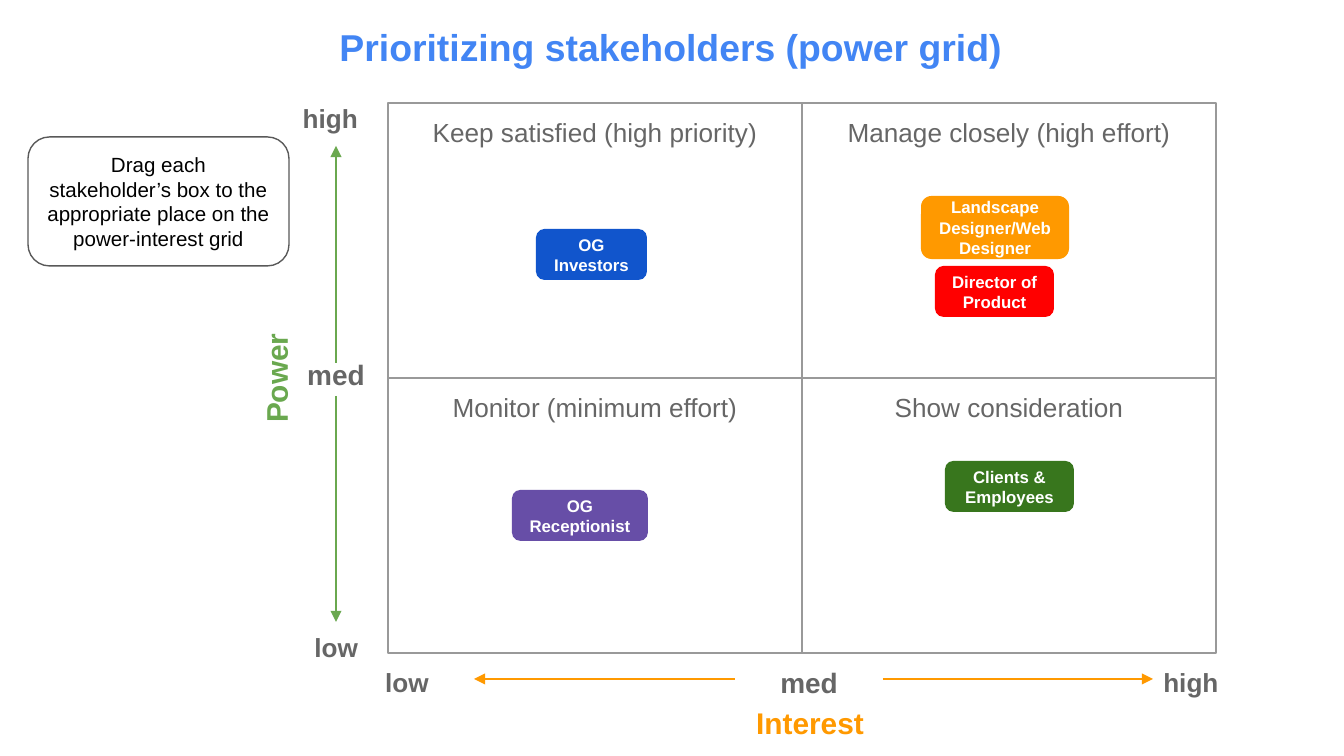
from dataclasses import dataclass

from lxml import etree
from pptx import Presentation
from pptx.dml.color import RGBColor
from pptx.enum.shapes import MSO_CONNECTOR, MSO_SHAPE
from pptx.enum.text import MSO_ANCHOR, MSO_AUTO_SIZE, PP_ALIGN
from pptx.oxml.ns import qn
from pptx.util import Emu, Pt

RECT, ROUNDED = MSO_SHAPE.RECTANGLE, MSO_SHAPE.ROUNDED_RECTANGLE
STRAIGHT = MSO_CONNECTOR.STRAIGHT
TOP, MIDDLE = MSO_ANCHOR.TOP, MSO_ANCHOR.MIDDLE
CENTER, RIGHT = PP_ALIGN.CENTER, PP_ALIGN.RIGHT
NO_FIT = MSO_AUTO_SIZE.NONE
TITLE_ONLY = 5

PAGE_WIDTH, PAGE_HEIGHT = 1344, 756
EMU_PER_PX = 9144000 / PAGE_WIDTH
INSET = 13


def px(length):
    return Emu(round(length * EMU_PER_PX))


@dataclass(frozen=True)
class Theme:
    font: str = "Arial"
    title: str = "4285F4"
    label: str = "666666"
    grid: str = "999999"
    outline: str = "595959"
    power: str = "6AA84F"
    interest: str = "FF9900"
    red: str = "FF0000"
    blue: str = "1155CC"
    green: str = "38761D"
    purple: str = "674EA7"
    white: str = "FFFFFF"
    black: str = "000000"
    title_size: int = 20
    axis_size: int = 16
    middle_size: int = 15
    label_size: int = 14
    note_size: int = 11
    card_size: int = 9
    thin: float = 0.75
    arrow: float = 1.5


class Board:
    def __init__(self, page, theme):
        self.page = page
        self.theme = theme

    def set_text(self, box, text, size, color, bold=True, align=CENTER, anchor=TOP):
        frame = box.text_frame
        inset = px(INSET)
        frame_format = {
            "word_wrap": True, "auto_size": NO_FIT, "vertical_anchor": anchor,
            "margin_left": inset, "margin_right": inset,
            "margin_top": inset, "margin_bottom": inset,
        }
        for name, value in frame_format.items():
            setattr(frame, name, value)
        para = frame.paragraphs[0]
        para.alignment = align
        span = para.add_run()
        span.text = text
        span_format = {"name": self.theme.font, "size": Pt(size), "bold": bold}
        for name, value in span_format.items():
            setattr(span.font, name, value)
        span.font.color.rgb = RGBColor.from_string(color)

    def title(self, text, left, top, width, height):
        box = self.page.shapes.title
        place = {"left": left, "top": top, "width": width, "height": height}
        for name, value in place.items():
            setattr(box, name, px(value))
        self.set_text(box, text, self.theme.title_size, self.theme.title)

    def label(self, text, area, size, color, align=CENTER, anchor=TOP, rotation=0):
        box = self.page.shapes.add_textbox(*map(px, area))
        box.rotation = rotation
        self.set_text(box, text, size, color, align=align, anchor=anchor)

    def shape(self, kind, area, fill=None, line=None):
        box = self.page.shapes.add_shape(kind, *map(px, area))
        box.shadow.inherit = False
        if fill:
            box.fill.solid()
            box.fill.fore_color.rgb = RGBColor.from_string(fill)
        else:
            box.fill.background()
        if line:
            box.line.color.rgb = RGBColor.from_string(line)
            box.line.width = Pt(self.theme.thin)
        else:
            box.line.fill.background()
        return box

    def quadrant(self, text, area):
        box = self.shape(RECT, area, line=self.theme.grid)
        self.set_text(box, text, self.theme.label_size, self.theme.label, bold=False)

    def card(self, text, area, fill):
        box = self.shape(ROUNDED, area, fill=fill)
        self.set_text(box, text, self.theme.card_size, self.theme.white, anchor=MIDDLE)

    def note(self, text, area):
        box = self.shape(ROUNDED, area, line=self.theme.outline)
        self.set_text(box, text, self.theme.note_size, self.theme.black,
                      bold=False, anchor=MIDDLE)

    def arrow(self, start, end, color):
        line = self.page.shapes.add_connector(STRAIGHT, *map(px, start + end))
        line.line.color.rgb = RGBColor.from_string(color)
        line.line.width = Pt(self.theme.arrow)
        properties = line._element.spPr
        etree.SubElement(properties.find(qn("a:ln")), qn("a:tailEnd"), type="triangle")
        etree.SubElement(properties, qn("a:effectLst"))


def main():
    deck = Presentation()
    deck.slide_width, deck.slide_height = px(PAGE_WIDTH), px(PAGE_HEIGHT)
    theme = Theme()
    board = Board(deck.slides.add_slide(deck.slide_layouts[TITLE_ONLY]), theme)

    board.title("Prioritizing stakeholders (power grid)", -1, 11, PAGE_WIDTH, 66)

    # Two-by-two grid
    grid_left, grid_top, cell_width, cell_height = 388, 103, 414, 275
    quadrants = [
        ["Keep satisfied (high priority)", "Manage closely (high effort)"],
        ["Monitor (minimum effort)", "Show consideration"],
    ]
    for row, names in enumerate(quadrants):
        for column, name in enumerate(names):
            board.quadrant(name, (grid_left + column * cell_width,
                                  grid_top + row * cell_height,
                                  cell_width, cell_height))

    # Power axis
    board.label("Power", (215, 364, 122, 35), theme.axis_size, theme.power,
                align=RIGHT, anchor=MIDDLE, rotation=270)
    for text, top in (("high", 89), ("low", 618)):
        board.label(text, (192, top, 179, 35), theme.label_size, theme.label,
                    align=RIGHT)
    board.label("med", (262, 345, 148, 51), theme.middle_size, theme.label)
    for start, end in ((363, 146), (396, 622)):
        board.arrow((336, start), (336, end), theme.power)

    # Interest axis
    board.label("Interest", (736, 692, 148, 63), theme.axis_size, theme.interest)
    for text, left in (("low", 339), ("high", 1123)):
        board.label(text, (left, 653, 136, 51), theme.label_size, theme.label)
    board.label("med", (735, 653, 148, 51), theme.middle_size, theme.label)
    for start, end in ((883, 1153), (735, 474)):
        board.arrow((start, 679), (end, 679), theme.interest)

    # Stakeholder cards
    cards = [
        ("Director of Product", (935, 266, 119, 51), theme.red),
        ("OG Investors", (536, 229, 111, 51), theme.blue),
        ("Clients & Employees", (945, 461, 129, 51), theme.green),
        ("OG Receptionist", (512, 490, 136, 51), theme.purple),
        ("Landscape Designer/Web Designer", (921, 196, 148, 63), theme.interest),
    ]
    for text, area, fill in cards:
        board.card(text, area, fill)

    # Instruction
    board.note("Drag each stakeholder’s box to the appropriate place on "
               "the power-interest grid", (28, 137, 261, 129))

    deck.save("out.pptx")


if __name__ == "__main__":
    main()
